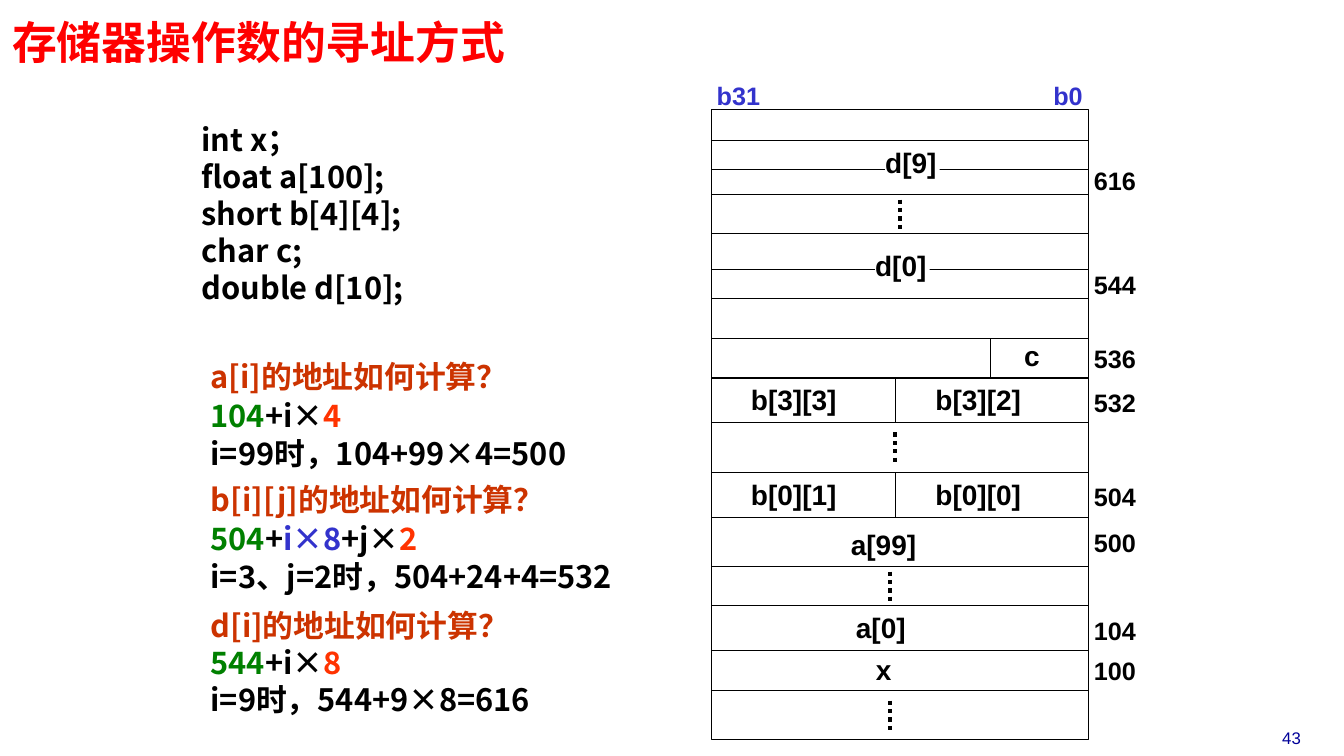
"""Builds the slide on addressing modes of memory operands."""
from lxml import etree
from pptx import Presentation
from pptx.dml.color import RGBColor
from pptx.enum.dml import MSO_LINE
from pptx.enum.shapes import MSO_CONNECTOR, MSO_SHAPE
from pptx.enum.text import MSO_ANCHOR, PP_ALIGN
from pptx.oxml.ns import qn
from pptx.util import Inches, Pt

STRAIGHT = MSO_CONNECTOR.STRAIGHT
RECTANGLE = MSO_SHAPE.RECTANGLE
DOTTED = MSO_LINE.ROUND_DOT
MIDDLE = MSO_ANCHOR.MIDDLE
CENTER = PP_ALIGN.CENTER

BLACK = RGBColor(0x00, 0x00, 0x00)
WHITE = RGBColor(0xFF, 0xFF, 0xFF)
RED = RGBColor(0xFF, 0x00, 0x00)
RUST = RGBColor(0xCC, 0x33, 0x00)
GREEN = RGBColor(0x00, 0x80, 0x00)
ORANGE = RGBColor(0xFF, 0x33, 0x00)
BLUE = RGBColor(0x33, 0x33, 0xCC)
NAVY = RGBColor(0x00, 0x00, 0x99)

SANS = "Arial"
CJK = "Noto Sans CJK SC"
MONO = "DejaVu Sans Mono"

prs = Presentation()
prs.slide_width = Inches(13.33)
prs.slide_height = Inches(7.5)
s = prs.slides.add_slide(prs.slide_layouts[6])


def add_text(x, y, w, h, paragraphs, size, font=SANS, bold=True, inset=(0.1, 0.05)):
    """Add a text box; each paragraph is a list of (text, colour) runs."""
    sp = s.shapes.add_textbox(Inches(x), Inches(y), Inches(w), Inches(h))
    tf = sp.text_frame
    tf.word_wrap = True
    tf.margin_left = tf.margin_right = Inches(inset[0])
    tf.margin_top = tf.margin_bottom = Inches(inset[1])
    for i, runs in enumerate(paragraphs):
        p = tf.paragraphs[0] if i == 0 else tf.add_paragraph()
        for text, color in runs:
            r = p.add_run()
            r.text = text
            r.font.size = Pt(size)
            r.font.bold = bold
            r.font.name = font
            r.font.color.rgb = color
            ea = etree.SubElement(r._r.get_or_add_rPr(), qn("a:ea"))
            ea.set("typeface", CJK)
    return sp


def add_line(x1, y1, x2, y2, width=0.75, dash=None):
    """Add a black line without a shadow."""
    line = s.shapes.add_connector(STRAIGHT, Inches(x1), Inches(y1), Inches(x2), Inches(y2))
    line.line.color.rgb = BLACK
    line.line.width = Pt(width)
    if dash:
        line.line.dash_style = dash
    etree.SubElement(line._element.spPr, qn("a:effectLst"))


number = add_text(12.34, 7.17, 0.94, 0.3, [[("43", NAVY)]], 12, bold=False)
number.text_frame.paragraphs[0].alignment = CENTER

title = add_text(0.05, 0.19, 9, 0.52, [[("存储器操作数的寻址方式", RED)]], 32, MONO, inset=(0.07, 0.03))
title.text_frame.vertical_anchor = MIDDLE
title.text_frame.paragraphs[0].line_spacing = 0.87

declarations = ["int x；", "float a[100];", "short b[4][4];", "char c;", "double d[10];"]
add_text(1.93, 1.17, 3.4, 1.91, [[(d, BLACK)] for d in declarations], 22, CJK, inset=(0.07, 0.03))

questions = [
    [("a[i]的地址如何计算？", RUST)],
    [("104", GREEN), ("+i×", BLACK), ("4", ORANGE)],
    [("i=99时，104+99×4=500", BLACK)],
    [("b[i][j]的地址如何计算？", RUST)],
    [("504", GREEN), ("+", BLACK), ("i×8", BLUE), ("+j×", BLACK), ("2", ORANGE)],
    [("i=3、j=2时，504+24+4=532", BLACK)],
    [("d[i]的地址如何计算？", RUST)],
    [("544", GREEN), ("+i×", BLACK), ("8", ORANGE)],
    [("i=9时，544+9×8=616", BLACK)],
]
sp = add_text(1.99, 3.5, 4.68, 3.77, questions, 22, CJK)
gaps = [0, 1.1, 1.1, 6.6, 1.1, 1.1, 8.8, 0, 0]
for p, gap in zip(sp.text_frame.paragraphs, gaps):
    p.space_before = Pt(gap)

LEFT, RIGHT, TOP, BOTTOM = 7.06, 10.8, 1.09, 7.34
memory = s.shapes.add_shape(RECTANGLE, Inches(LEFT), Inches(TOP), Inches(RIGHT - LEFT), Inches(BOTTOM - TOP))
memory.shadow.inherit = False
memory.fill.solid()
memory.fill.fore_color.rgb = WHITE
memory.line.color.rgb = BLACK
memory.line.width = Pt(0.75)

bits = add_text(7.01, 0.75, 3.99, 0.4, [[("b31\tb0", BLUE)]], 18)
tabs = etree.SubElement(bits.text_frame.paragraphs[0]._p.get_or_add_pPr(), qn("a:tabLst"))
etree.SubElement(tabs, qn("a:tab"), pos=str(Inches(3.63)), algn="r")

for y in (1.68, 2.67):
    add_line(LEFT, y, RIGHT, y)
for name, x, y in (("d[9]", 8.78, 1.39), ("d[0]", 8.68, 2.42)):
    sp = add_text(x, y, 0.54, 0.43, [[(name, BLACK)]], 20, inset=(0, 0.05))
    sp.fill.solid()
    sp.fill.fore_color.rgb = WHITE

for y in (1.39, 1.93, 2.32, 2.96, 3.36, 3.75, 4.19, 4.69, 5.13, 5.62, 6.01, 6.45, 6.85):
    add_line(LEFT, y, RIGHT, y)
for x, y1, y2 in ((9.82, 3.36, 3.75), (8.88, 3.75, 4.19), (8.88, 4.69, 5.13)):
    add_line(x, y1, x, y2)
for x, y in ((8.93, 1.98), (8.88, 4.29), (8.83, 5.67), (8.83, 6.95)):
    add_line(x, y, x, y + 0.3, 3, DOTTED)

cells = [
    ("c", 10.06, 3.31, 0.44),
    ("b[3][3]", 7.35, 3.75, 1.23),
    ("b[3][2]", 9.18, 3.75, 1.23),
    ("b[0][1]", 7.35, 4.69, 1.23),
    ("b[0][0]", 9.18, 4.69, 1.23),
    ("a[99]", 8.34, 5.18, 0.89),
    ("a[0]", 8.39, 6.01, 0.89),
    ("x", 8.59, 6.42, 0.44),
]
for name, x, y, w in cells:
    add_text(x, y, w, 0.43, [[(name, BLACK)]], 20)

addresses = [
    ("616", 1.59), ("544", 2.62), ("536", 3.36), ("532", 3.79), ("504", 4.73),
    ("500", 5.18), ("104", 6.06), ("100", 6.45),
]
for address, y in addresses:
    add_text(10.75, y, 0.64, 0.4, [[(address, BLACK)]], 18)

prs.save("out.pptx")
